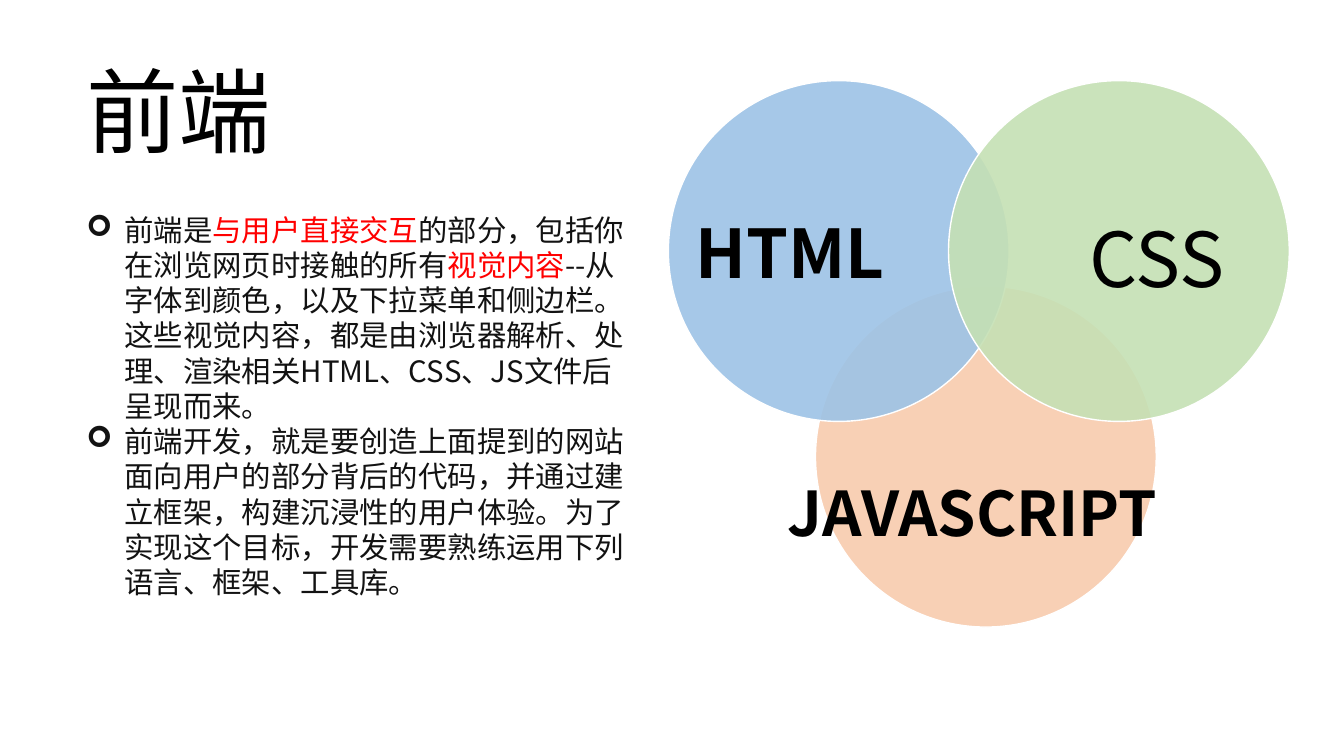
from typing import NamedTuple

from lxml import etree
from pptx import Presentation
from pptx import util as u
from pptx.dml.color import RGBColor
from pptx.enum import shapes, text
from pptx.oxml.ns import qn

FONT = "Noto Sans CJK SC"
BLACK = RGBColor(0x00, 0x00, 0x00)
INK = RGBColor(0x12, 0x12, 0x12)
RED = RGBColor(0xFF, 0x00, 0x00)
WHITE = RGBColor(0xFF, 0xFF, 0xFF)
PEACH = RGBColor(0xF8, 0xCB, 0xAD)
BLUE = RGBColor(0x9D, 0xC3, 0xE6)
GREEN = RGBColor(0xC5, 0xE0, 0xB4)

DIAMETER = 243.4
OPACITY = 90
BULLET_INDENT = 27


class Circle(NamedTuple):
    left: float
    top: float
    color: RGBColor


class Box(NamedTuple):
    left: float
    top: float
    width: float
    height: float


class Label(NamedTuple):
    words: str
    box: Box
    size: float
    bold: bool
    wrap: bool


class Span(NamedTuple):
    words: str
    color: RGBColor = INK


CIRCLES = [
    Circle(582.5, 204.5, PEACH),
    Circle(477.4, 57.6, BLUE),
    Circle(677.5, 57.6, GREEN),
]
LABELS = [
    Label("HTML", Box(489.6, 147.6, 195.1, 123.8), 48, True, True),
    Label("CSS", Box(771.1, 147.6, 123.1, 72.7), 54, False, False),
    Label("JAVASCRIPT", Box(555.8, 335.5, 305.3, 60.5), 44, True, False),
]
TITLE_BOX = Box(54.7, 31, 828, 104.4)
BODY_BOX = Box(54.7, 147.6, 401, 287.3)
BODY = [
    [
        Span("前端是"),
        Span("与用户直接交互", RED),
        Span("的部分，包括你在浏览网页时接触的所有"),
        Span("视觉内容", RED),
        Span("--从字体到颜色，以及下拉菜单和侧边栏。这些视觉内容，都是由浏览器解析、"
             "处理、渲染相关HTML、CSS、JS文件后呈现而来。"),
    ],
    [
        Span("前端开发，就是要创造上面提到的网站面向用户的部分背后的代码，并通过建立框架，"
             "构建沉浸性的用户体验。为了实现这个目标，开发需要熟练运用下列语言、框架、工具库。"),
    ],
]


def add_frame(slide, box: Box, *, wrap: bool = True, anchor=text.MSO_ANCHOR.TOP):
    frame = slide.shapes.add_textbox(*map(u.Pt, box)).text_frame
    frame.word_wrap = wrap
    frame.vertical_anchor = anchor
    return frame


def write(paragraph, words: str, *, size: float, color: RGBColor = BLACK,
          bold: bool = False) -> None:
    run = paragraph.add_run()
    run.text = words
    run.font.size = u.Pt(size)
    run.font.bold = bold
    run.font.color.rgb = color
    run.font.name = FONT
    east_asian = etree.SubElement(run.font._element, qn("a:ea"))
    east_asian.set("typeface", FONT)


def add_bullet(paragraph) -> None:
    properties = paragraph._p.get_or_add_pPr()
    properties.set("marL", str(u.Pt(BULLET_INDENT)))
    properties.set("indent", str(-u.Pt(BULLET_INDENT)))
    etree.SubElement(properties, qn("a:buFont")).set("typeface", "Wingdings")
    etree.SubElement(properties, qn("a:buChar")).set("char", "➢")


def draw_circle(slide, circle: Circle) -> None:
    disc = slide.shapes.add_shape(
        shapes.MSO_SHAPE.OVAL, u.Pt(circle.left), u.Pt(circle.top),
        u.Pt(DIAMETER), u.Pt(DIAMETER))
    disc.shadow.inherit = False
    disc.fill.solid()
    disc.fill.fore_color.rgb = circle.color
    tint = disc._element.spPr.find(qn("a:solidFill"))[0]
    etree.SubElement(tint, qn("a:alpha")).set("val", str(OPACITY * 1000))
    disc.line.color.rgb = WHITE
    disc.line.width = u.Pt(1)


def draw_label(slide, label: Label) -> None:
    frame = add_frame(slide, label.box, wrap=label.wrap)
    write(frame.paragraphs[0], label.words, size=label.size, bold=label.bold)


def draw_title(slide) -> None:
    heading = add_frame(slide, TITLE_BOX, anchor=text.MSO_ANCHOR.MIDDLE).paragraphs[0]
    heading.line_spacing = 0.9
    write(heading, "前端", size=66)


def draw_body(slide) -> None:
    frame = add_frame(slide, BODY_BOX)
    for index, spans in enumerate(BODY):
        paragraph = frame.add_paragraph() if index else frame.paragraphs[0]
        add_bullet(paragraph)
        for span in spans:
            write(paragraph, span.words, size=21, color=span.color)


def main() -> None:
    deck = Presentation()
    deck.slide_width, deck.slide_height = u.Pt(960), u.Pt(540)
    slide = deck.slides.add_slide(deck.slide_layouts[6])
    slide.background.fill.solid()
    slide.background.fill.fore_color.rgb = WHITE
    draw_title(slide)
    draw_body(slide)
    for circle in CIRCLES:
        draw_circle(slide, circle)
    for label in LABELS:
        draw_label(slide, label)
    deck.save("out.pptx")


if __name__ == "__main__":
    main()
